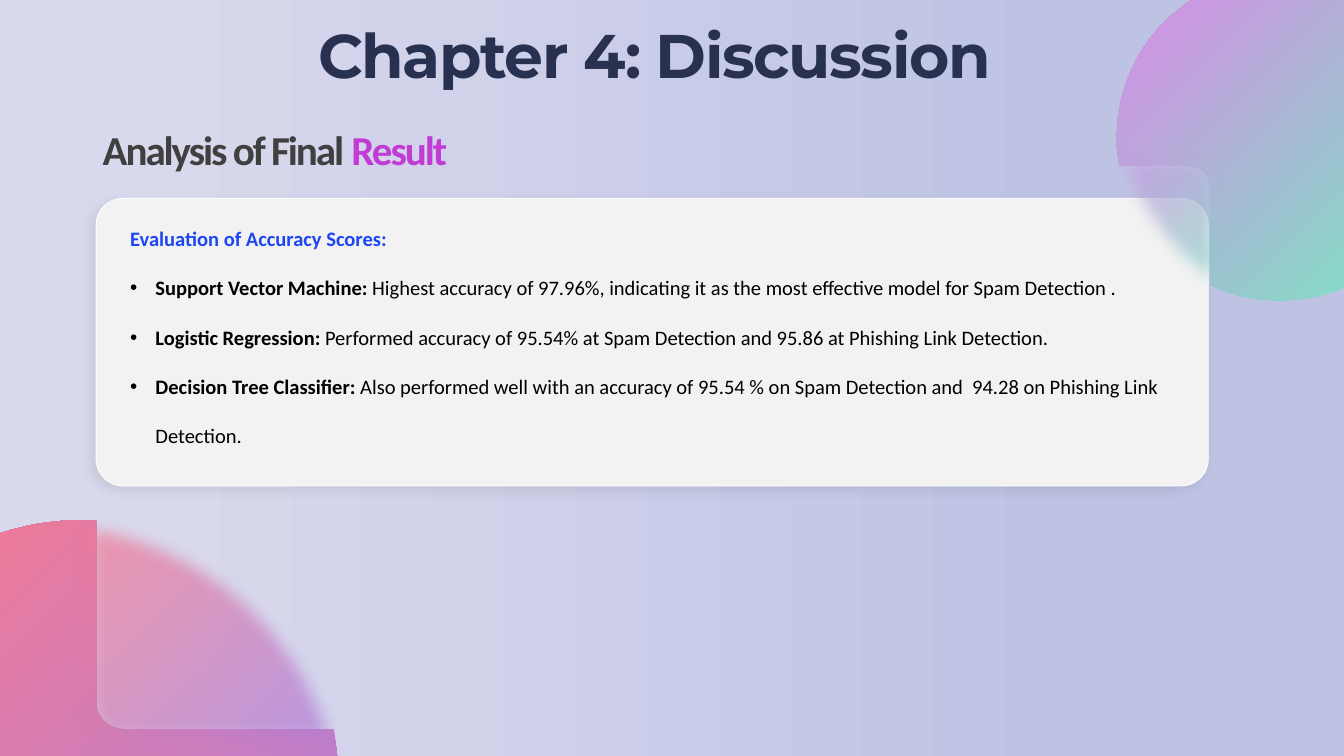
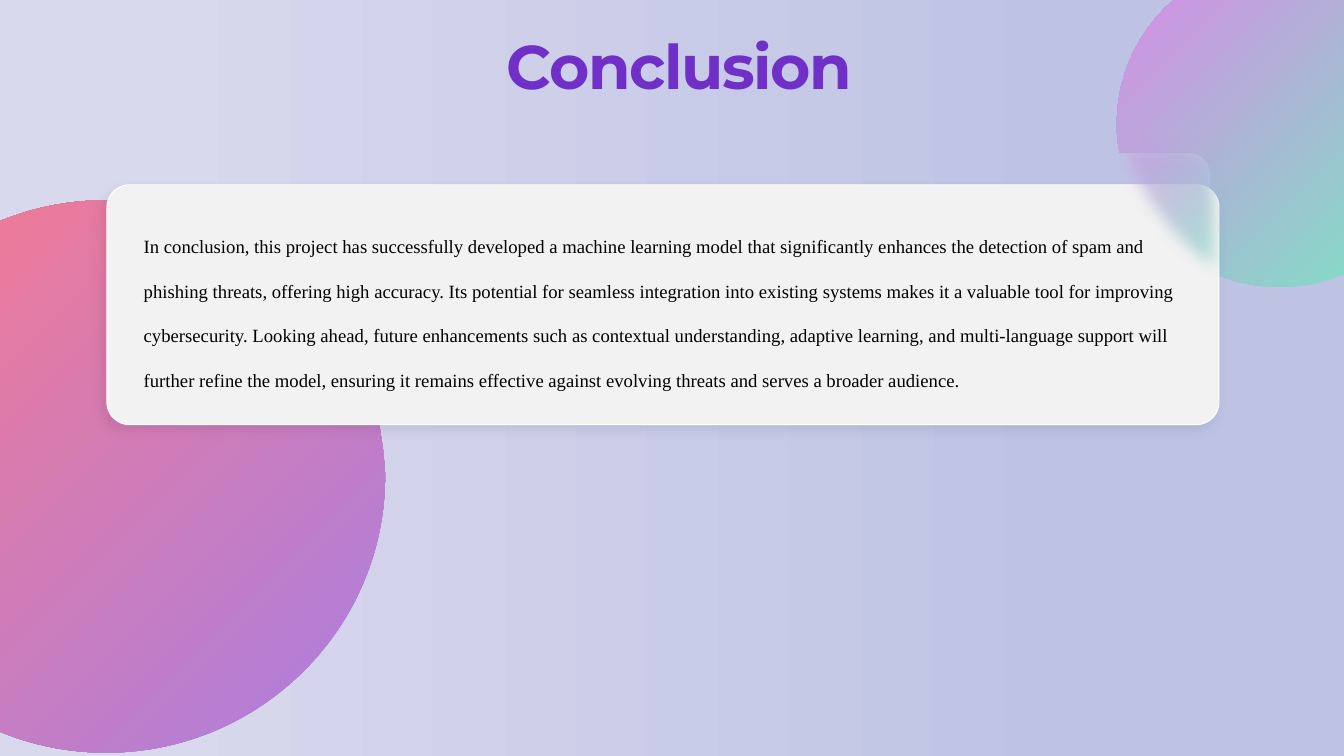
from dataclasses import dataclass

from lxml.etree import SubElement
from pptx import Presentation
from pptx.dml.color import RGBColor
from pptx.enum.shapes import MSO_SHAPE
from pptx.enum.text import MSO_AUTO_SIZE, PP_ALIGN
from pptx.oxml.ns import qn
from pptx.util import Inches, Pt


@dataclass(frozen=True)
class Theme:
    back: tuple = ((11, "D9D9ED"), (80, "BEC3E4"), 0)
    mint: tuple = ((0, "77E7C2"), (100, "DA8AE6"), 225)
    rose: tuple = ((0, "A97FE0"), (100, "FA798C"), 225)
    pink: tuple = ((0, "C13CD5"), (100, "F98657"), 225)
    plum: tuple = ((11, "702FC6"), (80, "1C46F2"), 180)
    card: str = "F2F2F2"
    edge: str = "FFFFFF"
    navy: str = "283250"
    gray: str = "404040"
    blue: str = "1C46F2"
    ink: str = "000000"
    glass: int = 70
    soft: float = 0.25
    title: int = 66
    head: int = 44
    list: int = 22
    prose: int = 20


T = Theme()
TITLE = dict(font="Montserrat", size=T.title, bold=True, space=-1.5)
HEAD = dict(font="Calibri", size=T.head, bold=True, space=-2.2)
LIST = dict(font="Calibri", size=T.list)
PROSE = dict(font="Times New Roman", size=T.prose, color=T.ink)

SCORES = [
    ("Support Vector Machine: ",
     "Highest accuracy of 97.96%, indicating it as the most effective model for Spam Detection ."),
    ("Logistic Regression: ",
     "Performed accuracy of 95.54% at Spam Detection and 95.86 at Phishing Link Detection."),
    ("Decision Tree Classifier: ",
     "Also performed well with an accuracy of 95.54 % on Spam Detection and  94.28 on Phishing Link Detection."),
]
CLOSING = (
    "In conclusion, this project has successfully developed a machine learning model that "
    "significantly enhances the detection of spam and phishing threats, offering high accuracy. "
    "Its potential for seamless integration into existing systems makes it a valuable tool for "
    "improving cybersecurity. Looking ahead, future enhancements such as contextual understanding, "
    "adaptive learning, and multi-language support will further refine the model, ensuring it "
    "remains effective against evolving threats and serves a broader audience."
)

MINT_DISC = [
    (2.43, 0), (3.77, 0, 4.86, 1.09, 4.86, 2.43), (4.86, 3.78, 3.77, 4.86, 2.43, 4.86),
    (2.09, 4.86, 1.78, 4.8, 1.48, 4.67), (1.39, 4.63), (1.39, 3.17),
    (1.39, 2.99, 1.25, 2.86, 1.08, 2.86), (0.04, 2.86), (0.01, 2.68),
    (0, 2.6, 0, 2.52, 0, 2.43), (0, 1.09, 1.09, 0, 2.43, 0),
]
MINT_PANE = [
    (0, 0), (1.46, 0), (1.7, 0, 1.9, 0.2, 1.9, 0.44), (1.9, 2.49), (1.73, 2.41),
    (0.86, 1.93, 0.22, 1.1, 0.02, 0.1),
]
ROSE_DISC = [
    (3.82, 0), (4.04, 0.01), (4.04, 2.71), (4.04, 2.93, 4.22, 3.11, 4.45, 3.11),
    (7.57, 3.11), (7.62, 3.43), (7.63, 3.56, 7.65, 3.69, 7.65, 3.82),
    (7.65, 5.93, 5.93, 7.65, 3.82, 7.65), (1.71, 7.65, 0, 5.93, 0, 3.82),
    (0, 1.71, 1.71, 0, 3.82, 0),
]
ROSE_PANE = [
    (0, 0), (0.19, 0.01), (2.14, 0.21, 3.71, 1.66, 4.1, 3.54), (4.11, 3.61),
    (0.47, 3.61), (0.21, 3.61, 0, 3.41, 0, 3.15),
]


def blend(fill, tone, alpha=None):
    *stops, turn = tone
    fill.gradient()
    fill.gradient_angle = 360 - turn
    for stop, (place, color) in zip(fill.gradient_stops, stops):
        stop.position = place / 100
        stop.color.rgb = RGBColor.from_string(color)
    if alpha:
        for node in fill._xPr.iter(qn("a:srgbClr")):
            SubElement(node, qn("a:alpha"), val=str(alpha * 1000))


def paint(fill, tone):
    if isinstance(tone, tuple):
        blend(fill, tone)
    else:
        fill.solid()
        fill.fore_color.rgb = RGBColor.from_string(tone)


def effect(shape, kind, **values):
    shape.shadow.inherit = False
    group = shape._element.spPr.find(qn("a:effectLst"))
    return SubElement(group, qn(kind), **{k: str(v) for k, v in values.items()})


def bend(shape, curve, wide, high):
    lines = list(shape._element.iter(qn("a:lnTo")))
    for line, node in zip(lines, curve[1:]):
        if len(node) == 2:
            continue
        line.tag = qn("a:cubicBezTo")
        for spot in (0, 1):
            x, y = node[2 * spot:2 * spot + 2]
            dot = SubElement(line, qn("a:pt"), x=str(Inches(x * wide)), y=str(Inches(y * high)))
            line.insert(spot, dot)


def blob(slide, curve, left, top, tone, wide=1, high=1, pane=False):
    dots = [(Inches(left + node[-2] * wide), Inches(top + node[-1] * high)) for node in curve]
    pen = slide.shapes.build_freeform(*dots[0])
    pen.add_line_segments(dots[1:], close=True)
    shape = pen.convert_to_shape()
    bend(shape, curve, wide, high)
    blend(shape.fill, tone, T.glass if pane else None)
    shape.line.fill.background()
    shape.shadow.inherit = False
    if pane:
        effect(shape, "a:softEdge", rad=Inches(T.soft))


def panel(slide, *box):
    shape = slide.shapes.add_shape(MSO_SHAPE.ROUNDED_RECTANGLE, *map(Inches, box))
    shape.adjustments[0] = 0.094
    paint(shape.fill, T.card)
    paint(shape.line.fill, T.edge)
    shape.line.width = Pt(1)
    shade = effect(shape, "a:outerShdw", blurRad=Pt(12), dist=Pt(7), dir=142 * 60000)
    color = SubElement(shade, qn("a:srgbClr"), val=T.ink)
    SubElement(color, qn("a:alpha"), val="7000")


def frame(slide, *box):
    text = slide.shapes.add_textbox(*map(Inches, box)).text_frame
    text.word_wrap = True
    text.auto_size = MSO_AUTO_SIZE.SHAPE_TO_FIT_TEXT
    return text


def write(para, text, font, size, color, bold=False, space=0):
    run = para.add_run()
    run.text = text
    run.font.name = font
    run.font.size = Pt(size)
    run.font.bold = bold
    paint(run.font.fill, color)
    if space:
        run.font._element.set("spc", str(round(space * 100)))


def bullet(para):
    props = para._p.get_or_add_pPr()
    props.set("marL", str(Pt(27)))
    props.set("indent", str(-Pt(27)))
    SubElement(props, qn("a:buFont"), typeface="Arial")
    SubElement(props, qn("a:buChar"), char="•")


def start(deck):
    slide = deck.slides.add_slide(deck.slide_layouts[6])
    blend(slide.background.fill, T.back)
    return slide


def results(deck):
    slide = start(deck)
    blob(slide, MINT_DISC, 16.62, -0.39, T.mint)
    blob(slide, ROSE_DISC, -2.61, 7.74, T.rose)
    panel(slide, 1.43, 2.95, 16.55, 4.28)
    blob(slide, MINT_PANE, 16.4, 2.18, T.mint, pane=True)

    para = frame(slide, 1.43, 1.89, 9.5, 0.77).paragraphs[0]
    para.line_spacing = 0.9
    write(para, "Analysis of Final ", color=T.gray, **HEAD)
    write(para, "Result", color=T.pink, **HEAD)
    blob(slide, ROSE_PANE, 1.12, 7.59, T.rose, pane=True)

    body = frame(slide, 1.84, 2.95, 15.64, 3.7)
    para = body.paragraphs[0]
    para.line_spacing = 2.0
    write(para, "Evaluation of Accuracy Scores:", color=T.blue, bold=True, **LIST)
    for name, note in SCORES:
        para = body.add_paragraph()
        para.line_spacing = 2.0
        bullet(para)
        write(para, name, color=T.ink, bold=True, **LIST)
        write(para, note, color=T.ink, **LIST)

    para = frame(slide, 2.28, 0.2, 14.92, 1.21).paragraphs[0]
    para.alignment = PP_ALIGN.CENTER
    write(para, "Chapter 4: Discussion", color=T.navy, **TITLE)


def ending(deck):
    slide = start(deck)
    blob(slide, MINT_DISC, 16.62, -0.59, T.mint)
    blob(slide, ROSE_DISC, -2.56, 2.98, T.rose, wide=8.29 / 7.65, high=8.22 / 7.65)
    panel(slide, 1.59, 2.75, 16.55, 3.57)
    blob(slide, MINT_PANE, 16.4, 1.98, T.mint, pane=True)

    para = frame(slide, 2.04, 3.11, 15.64, 2.7).paragraphs[0]
    para.line_spacing = 2.0
    write(para, CLOSING, **PROSE)

    para = frame(slide, 7.44, 0.58, 14.92, 1.01).paragraphs[0]
    para.line_spacing = 0.8
    write(para, "Conclusion", color=T.plum, **TITLE)


def main():
    deck = Presentation()
    deck.slide_width = Inches(20)
    deck.slide_height = Inches(11.25)
    results(deck)
    ending(deck)
    deck.save("out.pptx")


if __name__ == "__main__":
    main()
